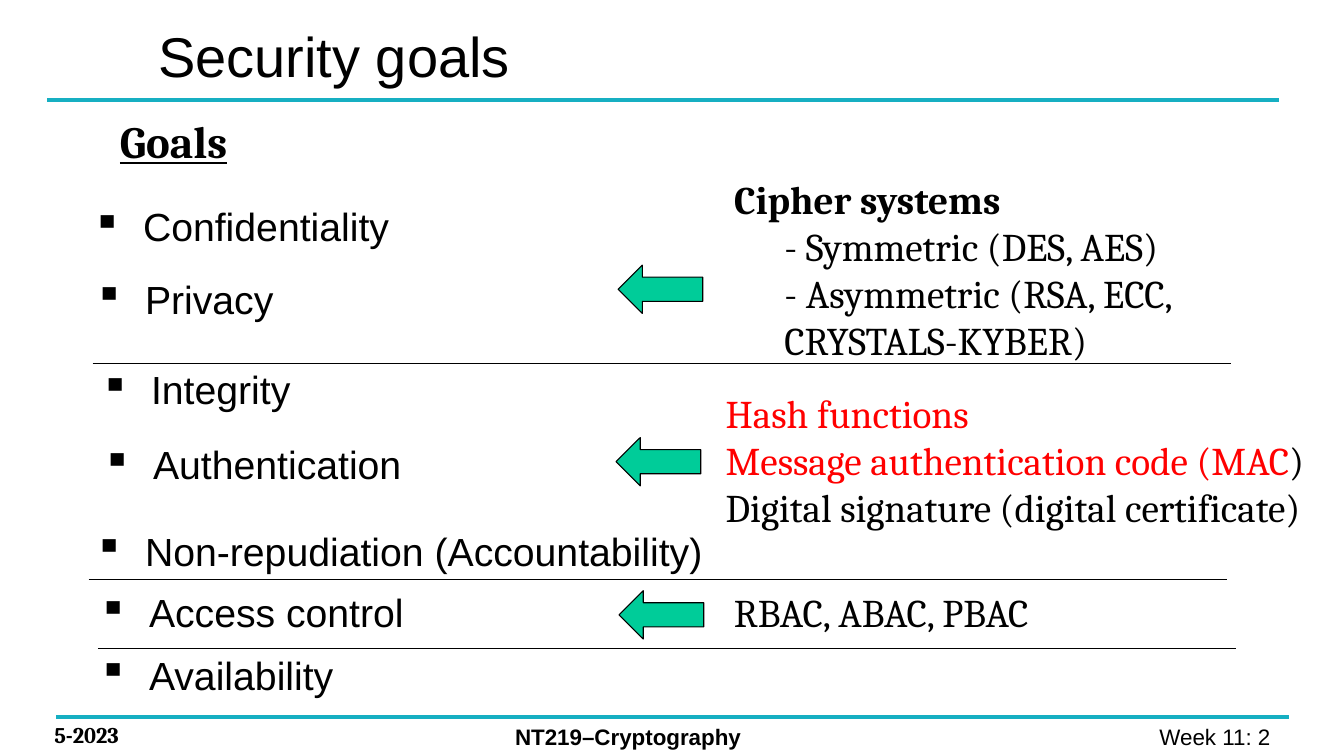
import pptx
import pptx.dml.color
import pptx.enum.shapes
import pptx.enum.text
import pptx.oxml
import pptx.oxml.ns
import pptx.util

PX = 9144
COLORS = {"black": "000000", "red": "FF0000", "teal": "16AFC2", "green": "00CC99"}
ALIGN = pptx.enum.text.PP_ALIGN
AUTO_SIZE = pptx.enum.text.MSO_AUTO_SIZE

GOALS = [
    ("Confidentiality", 82, 196, 318),
    ("Privacy", 84, 268, 200),
    ("Integrity", 90, 358, 211),
    ("Authentication", 92, 432, 320),
    ("Non-repudiation (Accountability)", 84, 518, 633),
    ("Access control", 88, 579, 326),
    ("Availability", 88, 641, 256),
]
DIVIDERS = [(92, 361), (88, 575), (97, 643)]
ARROWS = [(631, 245), (629, 416), (632, 568)]


def px(*lengths):
    return [pptx.util.Emu(length * PX) for length in lengths]


def rgb(name):
    return pptx.dml.color.RGBColor.from_string(COLORS[name])


def add_run(paragraph, text, size=28, font="Cambria", color="black", bold=False, underline=False):
    run = paragraph.add_run()
    run.text = text
    run.font.size = pptx.util.Pt(size)
    run.font.name = font
    run.font.bold = bold
    run.font.underline = underline
    run.font.color.rgb = rgb(color)


def set_indent(paragraph, margin=0, indent=0, bullet=None):
    properties = paragraph._p.get_or_add_pPr()
    properties.set("marL", str(margin * PX))
    properties.set("indent", str(indent * PX))
    tag = "a:buChar" if bullet else "a:buNone"
    mark = pptx.oxml.parse_xml(f"<{tag} {pptx.oxml.ns.nsdecls('a')}/>")
    if bullet:
        mark.set("char", bullet)
    properties.append(mark)


def place(shape, left, top, width, height):
    shape.left, shape.top, shape.width, shape.height = px(left, top, width, height)


def add_text(slide, box, text, wrap=True, align=ALIGN.LEFT, bullet=None, **font_format):
    shape = slide.shapes.add_textbox(*px(*box))
    frame = shape.text_frame
    frame.word_wrap = wrap
    frame.auto_size = AUTO_SIZE.SHAPE_TO_FIT_TEXT
    paragraph = frame.paragraphs[0]
    paragraph.alignment = align
    if bullet:
        set_indent(paragraph, margin=50, indent=-50, bullet=bullet)
    add_run(paragraph, text, **font_format)
    return frame


def add_rule(slide, left, top, width, color="black", weight=0.75):
    straight = pptx.enum.shapes.MSO_CONNECTOR.STRAIGHT
    rule = slide.shapes.add_connector(straight, *px(left, top, left + width, top))
    rule.line.color.rgb = rgb(color)
    rule.line.width = pptx.util.Pt(weight)
    rule._element.spPr.append(
        pptx.oxml.parse_xml(f"<a:effectLst {pptx.oxml.ns.nsdecls('a')}/>"))


def add_arrow(slide, left, top):
    arrow = slide.shapes.add_shape(
        pptx.enum.shapes.MSO_SHAPE.DOWN_ARROW, *px(left, top, 48, 84))
    arrow.rotation = 90
    arrow.shadow.inherit = False
    arrow.fill.solid()
    arrow.fill.fore_color.rgb = rgb("green")
    arrow.line.color.rgb = rgb("black")
    arrow.line.width = pptx.util.Pt(0.75)


def fill_title(slide):
    title = slide.shapes.title
    place(title, 147, 11, 728, 87)
    title.text_frame.vertical_anchor = pptx.enum.text.MSO_ANCHOR.MIDDLE
    title.text_frame.auto_size = AUTO_SIZE.NONE
    paragraph = title.text_frame.paragraphs[0]
    paragraph.alignment = ALIGN.LEFT
    add_run(paragraph, "Security goals", size=40, font="Arial")


def fill_ciphers(slide):
    body = slide.placeholders[1]
    place(body, 718, 169, 595, 199)
    frame = body.text_frame
    frame.auto_size = AUTO_SIZE.NONE
    ciphers = [
        ("Cipher systems", 0),
        ("- Symmetric (DES, AES)", 1),
        ("- Asymmetric (RSA, ECC, CRYSTALS-KYBER)", 1),
    ]
    for index, (text, level) in enumerate(ciphers):
        paragraph = frame.add_paragraph() if index else frame.paragraphs[0]
        paragraph.level = level
        paragraph.space_before = pptx.util.Pt(0)
        set_indent(paragraph, margin=50 * level)
        add_run(paragraph, text, bold=level == 0)


def add_integrity_tools(slide):
    frame = add_text(slide, (710, 381, 633, 151), "Hash functions", color="red")
    mac = frame.add_paragraph()
    add_run(mac, "Message authentication code (MAC", color="red")
    add_run(mac, ")")
    add_run(frame.add_paragraph(), "Digital signature (digital certificate)")


def add_footer(slide):
    add_rule(slide, 56, 711, 1222, color="teal", weight=3)
    add_text(slide, (44, 711, 178, 37), "5-2023", size=16, bold=True)
    add_text(slide, (501, 712, 409, 37), "NT219–Cryptography", size=16, font="Arial", bold=True)
    add_text(slide, (982, 712, 294, 37), "Week 11: 2 ", align=ALIGN.RIGHT, size=16, font="Arial")


def main():
    presentation = pptx.Presentation()
    presentation.slide_width, presentation.slide_height = px(1333, 750)
    slide = presentation.slides.add_slide(presentation.slide_layouts[1])

    add_rule(slide, 47, 99, 1222, color="teal", weight=3)
    add_footer(slide)
    fill_title(slide)
    add_text(slide, (109, 108, 130, 64), "Goals", wrap=False, size=32, bold=True, underline=True)
    for goal, left, top, width in GOALS:
        add_text(slide, (left, top, width, 57), goal, wrap=False, bullet="▪", font="Arial")
    fill_ciphers(slide)
    add_integrity_tools(slide)
    add_text(slide, (718, 579, 376, 57), "RBAC, ABAC, PBAC", wrap=False)
    for left, top in DIVIDERS:
        add_rule(slide, left, top, 1129)
    for left, top in ARROWS:
        add_arrow(slide, left, top)

    presentation.save("out.pptx")


if __name__ == "__main__":
    main()
